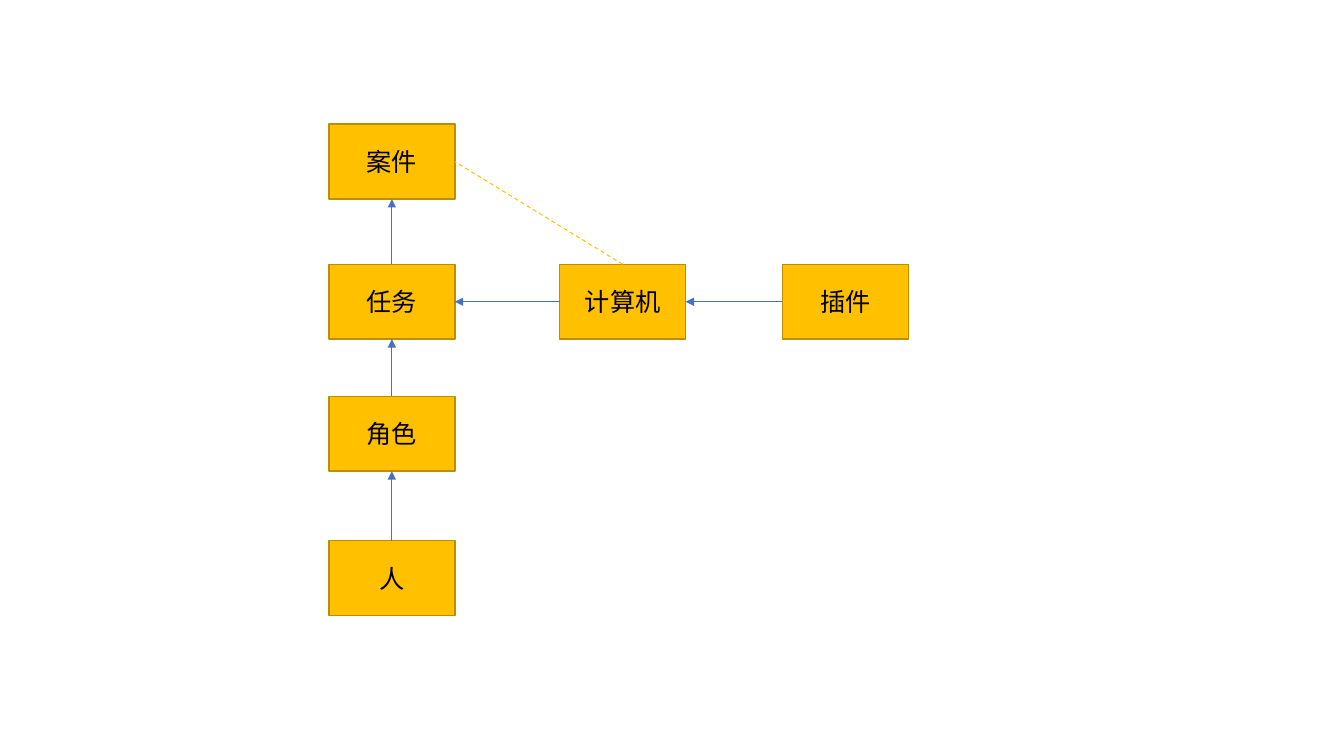
from dataclasses import dataclass

from pptx import Presentation
from pptx.dml.color import RGBColor
from pptx.enum import dml, shapes, text
from pptx.oxml import ns, xmlchemy as xml
from pptx.util import Pt


@dataclass(frozen=True)
class Theme:
    fill: RGBColor = RGBColor(0xFF, 0xC0, 0x00)
    edge: RGBColor = RGBColor(0xBD, 0x8E, 0x00)
    ink: RGBColor = RGBColor(0, 0, 0)
    arrow: RGBColor = RGBColor(0x44, 0x72, 0xC4)
    font: str = "Noto Sans CJK SC"
    size: float = 18


THEME = Theme()
TOP, LEFT, BOTTOM, RIGHT = range(4)

# Column and row offsets inside the diagram, and the size of a node
COLS = (0, 164.9, 324)
ROWS = (0, 100.1, 194.4, 297.4)
NODE = (90, 53.5)

# Label: (column, row)
NODES = {
    "案件": (0, 0),
    "任务": (0, 1),
    "角色": (0, 2),
    "人": (0, 3),
    "计算机": (1, 1),
    "插件": (2, 1),
}

# Start, its side, end, its side
ARROWS = (
    ("任务", TOP, "案件", BOTTOM),
    ("角色", TOP, "任务", BOTTOM),
    ("人", TOP, "角色", BOTTOM),
    ("插件", LEFT, "计算机", RIGHT),
    ("计算机", LEFT, "任务", RIGHT),
)
DASHED = ("计算机", TOP, "案件", RIGHT)


def style(item, **values):
    for name, value in values.items():
        setattr(item, name, value)


def add_node(slide, label, x, y):
    node = slide.shapes.add_shape(
        shapes.MSO_SHAPE.RECTANGLE, Pt(x), Pt(y), *map(Pt, NODE))
    node.shadow.inherit = False
    node.fill.solid()
    node.fill.fore_color.rgb = THEME.fill
    node.line.color.rgb = THEME.edge
    node.line.width = Pt(1)
    style(node.text_frame, word_wrap=True,
          vertical_anchor=text.MSO_ANCHOR.MIDDLE)
    para = node.text_frame.paragraphs[0]
    para.alignment = text.PP_ALIGN.CENTER
    run = para.add_run()
    run.text = label
    style(run.font, name=THEME.font, size=Pt(THEME.size))
    run.font.color.rgb = THEME.ink
    # East Asian typeface
    face = xml.OxmlElement("a:ea")
    face.set("typeface", THEME.font)
    run.font._element.find(ns.qn("a:latin")).addnext(face)
    return node


def add_link(slide, nodes, link, color, width):
    start, exit_side, end, entry = link
    line = slide.shapes.add_connector(
        shapes.MSO_CONNECTOR.STRAIGHT, 0, 0, 0, 0)
    line.begin_connect(nodes[start], exit_side)
    line.end_connect(nodes[end], entry)
    line.line.color.rgb = color
    line.line.width = Pt(width)
    line._element.spPr.append(xml.OxmlElement("a:effectLst"))
    return line


def add_diagram(slide, left, top):
    # Nodes
    nodes = {label: add_node(slide, label, left + COLS[col], top + ROWS[row])
             for label, (col, row) in NODES.items()}
    # Arrows
    for link in ARROWS:
        arrow = add_link(slide, nodes, link, THEME.arrow, 0.5)
        tip = xml.OxmlElement("a:tailEnd")
        tip.set("type", "triangle")
        arrow.line._get_or_add_ln().append(tip)
    # Dashed relation
    dashed = add_link(slide, nodes, DASHED, THEME.fill, 0.75)
    dashed.line.dash_style = dml.MSO_LINE.DASH


def main():
    deck = Presentation()
    style(deck, slide_width=Pt(960), slide_height=Pt(540))
    slide = deck.slides.add_slide(deck.slide_layouts[6])
    add_diagram(slide, 234.9, 88.7)
    deck.save("out.pptx")


if __name__ == "__main__":
    main()
